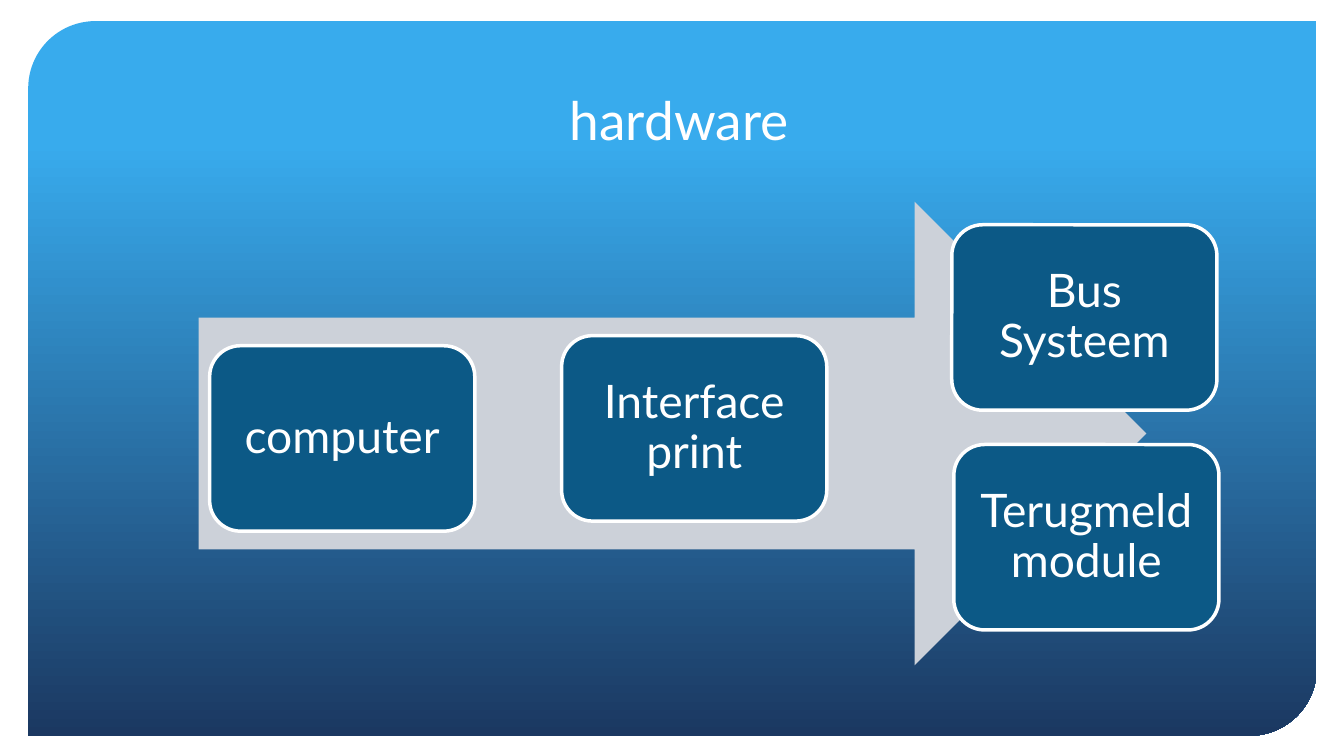
"""Build the hardware slide: an arrow leading through four rounded boxes."""
from dataclasses import dataclass

import pptx
import pptx.dml.color
import pptx.enum.shapes
import pptx.enum.text
import pptx.util

SHAPE = pptx.enum.shapes.MSO_SHAPE
ANCHOR = pptx.enum.text.MSO_ANCHOR
WIDTH = pptx.util.Inches(13.33)
HEIGHT = pptx.util.Inches(7.5)
FONT = "Lato"
COLOURS = {
    "sky": "38ABED",
    "navy": "1B3861",
    "arrow": "CCD1D9",
    "box": "0C5986",
    "white": "FFFFFF",
}


@dataclass(frozen=True)
class Area:
    """Left, top, width and height in percent of the slide."""
    left: float
    top: float
    width: float
    height: float

    def emu(self) -> tuple[int, int, int, int]:
        """Return the area in slide units."""
        return (round(self.left * WIDTH / 100), round(self.top * HEIGHT / 100),
                round(self.width * WIDTH / 100), round(self.height * HEIGHT / 100))


@dataclass(frozen=True)
class Box:
    """A labelled hardware part and its corner in percent of the slide."""
    label: str
    left: float
    top: float


PANEL = Area(2.1, 2.8, 95.87, 94.53)
TITLE = Area(8.55, 5.6, 82.97, 15.2)
ARROW = Area(14.78, 26.67, 70.52, 61.33)
BOX_WIDTH, BOX_HEIGHT = 19.73, 24.53
BOXES = [
    Box("computer", 15.6, 45.73),
    Box("Interface print", 41.79, 44.4),
    Box("Bus Systeem", 70.82, 29.73),
    Box("Terugmeld module", 70.97, 58.8),
]


def rgb(name: str) -> pptx.dml.color.RGBColor:
    """Look up a colour by name."""
    return pptx.dml.color.RGBColor.from_string(COLOURS[name])


def add_plain(s, kind, area: Area):
    """Add a preset shape without shadow or outline."""
    sp = s.shapes.add_shape(kind, *area.emu())
    sp.shadow.inherit = False
    sp.line.fill.background()
    return sp


def add_panel(s) -> None:
    """Draw the gradient panel behind everything."""
    sp = add_plain(s, SHAPE.ROUND_2_DIAG_RECTANGLE, PANEL)
    sp.adjustments[0] = 0.094
    sp.adjustments[1] = 0
    sp.fill.gradient()
    sp.fill.gradient_angle = 270
    stops = zip(sp.fill.gradient_stops, [(0.17, "sky"), (1, "navy")])
    for stop, (position, name) in stops:
        stop.position = position
        stop.color.rgb = rgb(name)


def write(sp, text: str, size: int, anchor) -> None:
    """Put centred white text into a shape."""
    tf = sp.text_frame
    tf.text = text
    tf.word_wrap = True
    tf.vertical_anchor = anchor
    p = tf.paragraphs[0]
    p.alignment = pptx.enum.text.PP_ALIGN.CENTER
    p.line_spacing = 0.9
    r = p.runs[0]
    r.font.size = pptx.util.Pt(size)
    r.font.name = FONT
    r.font.color.rgb = rgb("white")


def add_box(s, box: Box) -> None:
    """Draw one labelled box."""
    area = Area(box.left, box.top, BOX_WIDTH, BOX_HEIGHT)
    sp = add_plain(s, SHAPE.ROUNDED_RECTANGLE, area)
    sp.fill.solid()
    sp.fill.fore_color.rgb = rgb("box")
    sp.line.color.rgb = rgb("white")
    sp.line.width = pptx.util.Pt(2.5)
    write(sp, box.label, 33, ANCHOR.MIDDLE)
    tf = sp.text_frame
    inset = pptx.util.Inches(0.14)
    tf.margin_left = tf.margin_right = tf.margin_top = tf.margin_bottom = inset


def main() -> None:
    """Build and save the slide."""
    prs = pptx.Presentation()
    prs.slide_width = WIDTH
    prs.slide_height = HEIGHT
    s = prs.slides.add_slide(prs.slide_layouts[6])
    add_panel(s)
    write(s.shapes.add_textbox(*TITLE.emu()), " hardware", 38, ANCHOR.BOTTOM)
    arrow = add_plain(s, SHAPE.RIGHT_ARROW, ARROW)
    arrow.fill.solid()
    arrow.fill.fore_color.rgb = rgb("arrow")
    for box in BOXES:
        add_box(s, box)
    prs.save("out.pptx")


if __name__ == "__main__":
    main()
